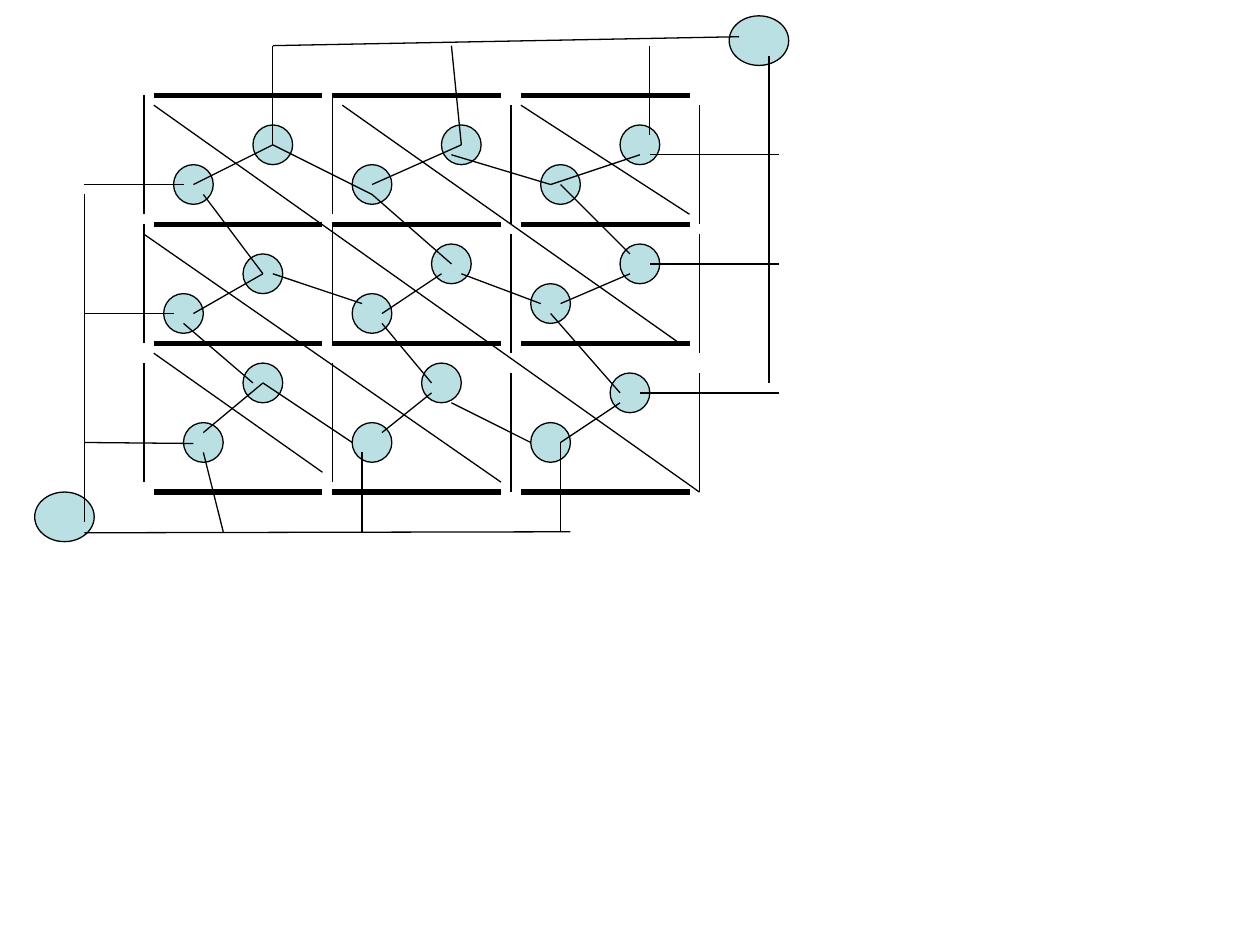
import pptx
import pptx.util
import pptx.dml.color
import pptx.enum.shapes
import pptx.oxml.ns
from lxml import etree
from pptx.util import Cm

COLORS = {"ink": "000000", "node": "BBE0E3"}

deck = pptx.Presentation()
deck.slide_width = Cm(25.4)
deck.slide_height = Cm(19.05)
slide = deck.slides.add_slide(deck.slide_layouts[6])


def add_line(x1, y1, x2, y2, weight=0.75):
    line = slide.shapes.add_connector(
        pptx.enum.shapes.MSO_CONNECTOR.STRAIGHT, Cm(x1), Cm(y1), Cm(x2), Cm(y2))
    line.line.color.rgb = pptx.dml.color.RGBColor.from_string(COLORS["ink"])
    line.line.width = pptx.util.Pt(weight)
    etree.SubElement(line._element.spPr, pptx.oxml.ns.qn("a:effectLst"))


def add_node(left, top, width=0.8, height=0.8):
    node = slide.shapes.add_shape(
        pptx.enum.shapes.MSO_SHAPE.OVAL, Cm(left), Cm(top), Cm(width), Cm(height))
    node.shadow.inherit = False
    node.fill.solid()
    node.fill.fore_color.rgb = pptx.dml.color.RGBColor.from_string(COLORS["node"])
    node.line.color.rgb = pptx.dml.color.RGBColor.from_string(COLORS["ink"])
    node.line.width = pptx.util.Pt(0.75)


for plate_y in (1.92, 4.52, 6.92, 9.92):
    for plate_x in (3.1, 6.7, 10.5):
        add_line(plate_x, plate_y, plate_x + 3.4, plate_y, 3)

left_wall_tops = (1.92, 4.52, 7.32)
right_wall_tops = (2.12, 4.72, 7.52)
for wall_x, wall_tops in ((2.9, left_wall_tops), (6.7, left_wall_tops),
                          (10.3, right_wall_tops), (14.1, right_wall_tops)):
    for wall_top in wall_tops:
        add_line(wall_x, wall_top, wall_x, wall_top + 2.4)

for terminal_left, terminal_top in ((0.7, 9.92), (14.7, 0.32)):
    add_node(terminal_left, terminal_top, 1.2, 1)

buses = [
    (5.5, 0.92, 14.9, 0.74),
    (1.7, 3.92, 1.7, 10.52),
    (15.5, 1.12, 15.5, 7.72),
    (11.5, 10.72, 1.7, 10.74),
]
diagonals = [
    (3.1, 2.12, 14.1, 9.92),
    (6.9, 2.12, 13.7, 6.92),
    (2.9, 4.72, 10.1, 9.72),
    (3.1, 7.12, 6.5, 9.52),
    (10.5, 2.12, 13.9, 4.32),
]
for ends in buses + diagonals:
    add_line(*ends)

nodes = [
    (3.5, 3.32), (5.1, 2.52), (7.1, 3.32), (8.9, 2.52), (10.9, 3.32), (12.5, 2.52),
    (3.3, 5.92), (4.9, 5.12), (7.1, 5.92), (8.7, 4.92), (10.7, 5.72), (12.5, 4.92),
    (3.7, 8.52), (4.9, 7.32), (7.1, 8.52), (8.5, 7.32), (10.7, 8.52), (12.3, 7.52),
]
for node_left, node_top in nodes:
    add_node(node_left, node_top)

cell_links = [
    (3.9, 3.72, 5.5, 2.92), (7.5, 3.72, 9.3, 2.92), (11.1, 3.72, 12.9, 3.12),
    (3.9, 6.32, 5.3, 5.52), (7.7, 6.32, 8.9, 5.52), (11.3, 6.12, 12.7, 5.52),
    (4.1, 8.72, 5.3, 7.72), (7.7, 8.72, 8.7, 7.92), (11.3, 8.92, 12.5, 8.12),
]
row_links = [
    (5.5, 2.92, 7.5, 3.92), (9.1, 3.12, 11.1, 3.72),
    (5.5, 5.52, 7.3, 6.12), (9.3, 5.52, 10.9, 6.12),
    (5.3, 7.72, 7.1, 8.92), (9.1, 8.12, 10.7, 8.92),
]
column_links = [
    (4.1, 3.92, 5.3, 5.52), (7.5, 3.92, 9.1, 5.32), (11.3, 3.72, 12.7, 5.12),
    (3.7, 6.52, 5.1, 7.72), (7.7, 6.52, 8.7, 7.72), (11.1, 6.32, 12.5, 7.92),
]
bus_links = [
    (5.5, 2.92, 5.5, 0.92), (9.1, 0.92, 9.3, 2.92), (13.1, 0.92, 13.1, 2.72),
    (3.7, 3.72, 1.7, 3.72), (1.7, 6.32, 3.5, 6.32), (1.7, 8.92, 3.9, 8.94),
    (13.1, 3.12, 15.7, 3.12), (13.1, 5.32, 15.7, 5.32), (12.9, 7.92, 15.7, 7.92),
    (4.1, 9.12, 4.5, 10.72), (7.3, 9.12, 7.3, 10.72), (11.3, 8.92, 11.3, 10.72),
]
for ends in cell_links + row_links + column_links + bus_links:
    add_line(*ends)

deck.save("out.pptx")
